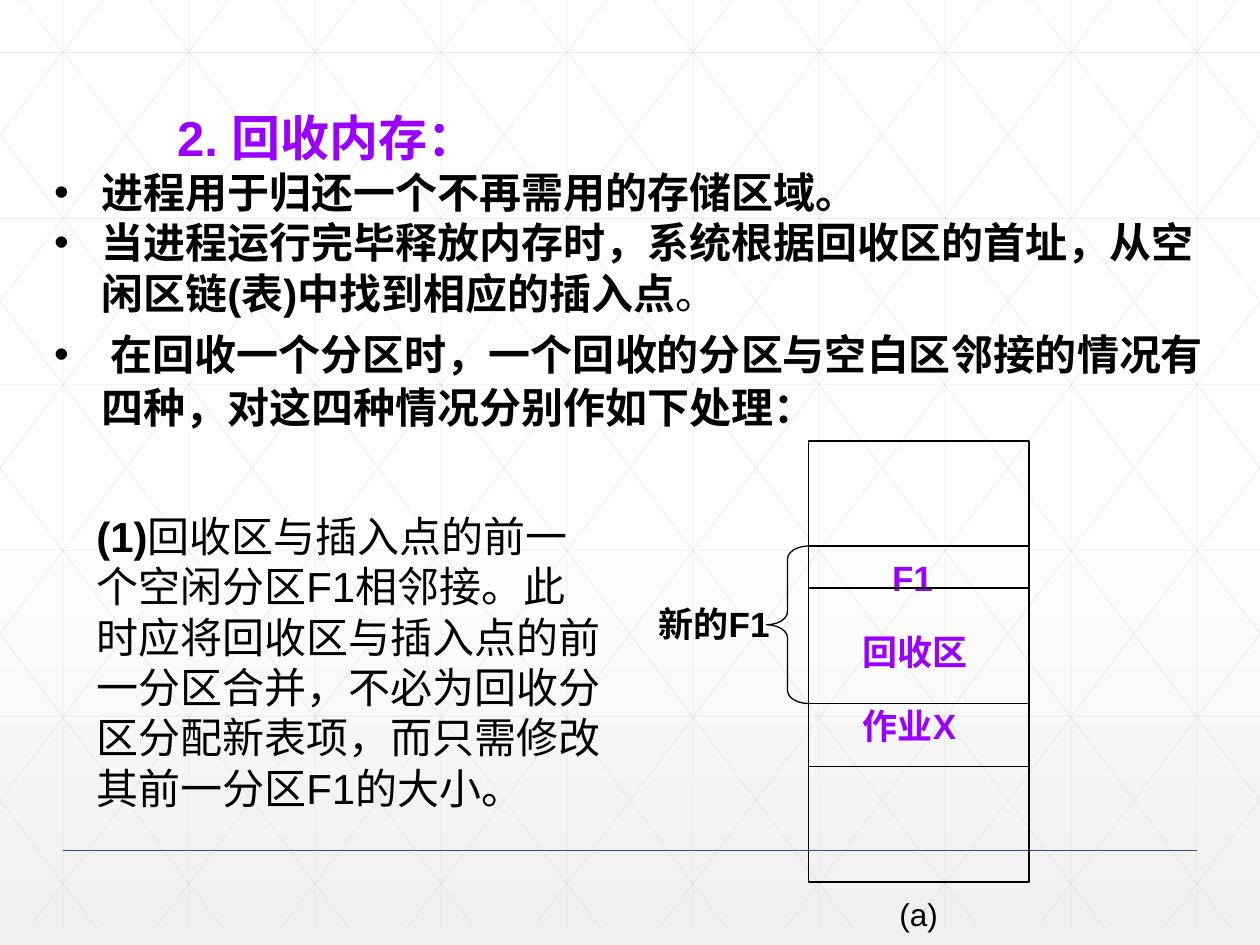
from dataclasses import dataclass

from lxml import etree
from pptx import Presentation
from pptx.dml.color import RGBColor
from pptx.enum.shapes import MSO_CONNECTOR, MSO_SHAPE
from pptx.enum.text import MSO_ANCHOR, MSO_AUTO_SIZE, PP_ALIGN
from pptx.oxml.ns import qn
from pptx.util import Pt

STRAIGHT = MSO_CONNECTOR.STRAIGHT
RECTANGLE = MSO_SHAPE.RECTANGLE
LEFT_BRACE = MSO_SHAPE.LEFT_BRACE
TOP = MSO_ANCHOR.TOP
MIDDLE = MSO_ANCHOR.MIDDLE
NO_AUTOFIT = MSO_AUTO_SIZE.NONE
LEFT = PP_ALIGN.LEFT
CENTER = PP_ALIGN.CENTER


@dataclass(frozen=True)
class Theme:
    font: str = "Arial"
    ink: str = "000000"
    accent: str = "9900FF"
    rule: str = "384C81"
    grid: str = "BFBFBF"
    paper: str = "FFFFFF"
    shade: str = "F0F0F0"
    title_size: int = 28
    body_size: int = 24
    label_size: int = 20
    caption_size: int = 18


theme = Theme()
presentation = Presentation()
presentation.slide_width = Pt(720)
presentation.slide_height = Pt(540)
slide = presentation.slides.add_slide(presentation.slide_layouts[1])


def add_line(x1, y1, x2, y2, color, width, opacity=100):
    line = slide.shapes.add_connector(STRAIGHT, Pt(x1), Pt(y1), Pt(x2), Pt(y2))
    line.line.color.rgb = RGBColor.from_string(color)
    line.line.width = Pt(width)
    properties = line._element.spPr
    if opacity < 100:
        fill_color = properties.find(".//" + qn("a:srgbClr"))
        etree.SubElement(fill_color, qn("a:alpha")).set("val", str(opacity * 1000))
    etree.SubElement(properties, qn("a:effectLst"))


def write_text(shape, box, lines, size, color, bold=True, anchor=TOP, align=LEFT):
    shape.left, shape.top, shape.width, shape.height = [Pt(value) for value in box]
    frame = shape.text_frame
    frame.text = "\n".join(lines)
    frame.word_wrap = True
    frame.auto_size = NO_AUTOFIT
    frame.vertical_anchor = anchor
    for paragraph in frame.paragraphs:
        paragraph.alignment = align
        paragraph.space_before = Pt(0)
        for run in paragraph.runs:
            run.font.name = theme.font
            run.font.size = Pt(size)
            run.font.bold = bold
            run.font.color.rgb = RGBColor.from_string(color)
    return frame


background = slide.background.fill
background.gradient()
background.gradient_angle = 270
for stop, color, position in zip(
    background.gradient_stops, (theme.paper, theme.shade), (0.53, 1)
):
    stop.color.rgb = RGBColor.from_string(color)
    stop.position = position

grid_width, grid_height, grid_step = 720, 530.5, 72
grid_lines = [(36 + grid_step * i, 0, 36 + grid_step * i, grid_height) for i in range(10)]
grid_lines += [(0, 30 + 94.8 * i, grid_width, 30 + 94.8 * i) for i in range(6)]
slope = 1.32
for step in range(-5, 10):
    start = 13.5 + grid_step * step
    x1 = max(start, 0)
    x2 = min(start + grid_height / slope, grid_width)
    y1, y2 = (x1 - start) * slope, (x2 - start) * slope
    grid_lines.append((x1, y1, x2, y2))
    grid_lines.append((grid_width - x1, y1, grid_width - x2, y2))
for ends in grid_lines:
    add_line(*ends, theme.grid, 0.5, 25)
add_line(36, 486, 684, 486, theme.rule, 0.5)

title, body = slide.shapes.title, slide.placeholders[1]
for placeholder in (title, body):
    slide.shapes._spTree.append(placeholder._element)
write_text(title, (94, 57.6, 400, 40), ["2. 回收内存："], theme.title_size, theme.accent)

points = [
    "进程用于归还一个不再需用的存储区域。",
    "当进程运行完毕释放内存时，系统根据回收区的首址，从空闲区链(表)中找到相应的插入点",
    " 在回收一个分区时，一个回收的分区与空白区邻接的情况有四种，对这四种情况分别作如下处理：",
]
body_frame = write_text(
    body, (23.76, 91.5, 678.24, 161), points, theme.body_size, theme.ink
)
full_stop = body_frame.paragraphs[1].add_run()
full_stop.text = "。"
full_stop.font.name = theme.font
full_stop.font.size = Pt(theme.body_size)
full_stop.font.color.rgb = RGBColor.from_string(theme.ink)
body_frame.paragraphs[2].space_before = Pt(4.8)
body_frame.paragraphs[2].line_spacing = 1.05

case_box = slide.shapes.add_textbox(0, 0, 0, 0)
case_frame = write_text(
    case_box, (48, 288, 306, 181.5), ["(1)"], theme.body_size, theme.ink
)
case_run = case_frame.paragraphs[0].add_run()
case_run.text = (
    "回收区与插入点的前一个空闲分区F1相邻接。此时应将回收区与插入点的前一分区合并，"
    "不必为回收分区分配新表项，而只需修改其前一分区F1的大小。"
)
case_run.font.name = theme.font
case_run.font.size = Pt(theme.body_size)
case_run.font.color.rgb = RGBColor.from_string(theme.ink)

memory_left, memory_right = 462, 588
label_box = slide.shapes.add_textbox(0, 0, 0, 0)
label_frame = write_text(
    label_box, (486, 306, 108, 166), ["F1", "回收区", "作业X"],
    theme.label_size, theme.accent,
)
for paragraph in label_frame.paragraphs:
    paragraph.line_spacing = 1.35
    paragraph.space_before = Pt(10)
label_frame.paragraphs[0]._p.get_or_add_pPr().set("indent", str(Pt(16.7)))

memory = slide.shapes.add_shape(
    RECTANGLE, Pt(memory_left), Pt(252), Pt(memory_right - memory_left), Pt(252)
)
brace = slide.shapes.add_shape(LEFT_BRACE, Pt(438), Pt(312), Pt(24), Pt(90))
brace.adjustments[0] = 0.31
for shape in (memory, brace):
    shape.shadow.inherit = False
    shape.fill.background()
    shape.line.color.rgb = RGBColor.from_string(theme.ink)
    shape.line.width = Pt(0.75)
for y in (312, 336, 402, 438):
    add_line(memory_left, y, memory_right, y, theme.ink, 0.75)

caption = slide.shapes.add_textbox(0, 0, 0, 0)
caption_frame = write_text(
    caption, (504, 510, 42, 24), ["(a)"], theme.caption_size, theme.ink,
    bold=False, anchor=MIDDLE, align=CENTER,
)
caption_frame.word_wrap = False

merged_label = slide.shapes.add_textbox(0, 0, 0, 0)
merged_frame = write_text(
    merged_label, (360, 340.5, 90, 31), ["新的F1"], theme.label_size, theme.ink
)
merged_frame.paragraphs[0]._p.get_or_add_pPr().set("indent", str(Pt(9.2)))

presentation.save("out.pptx")
